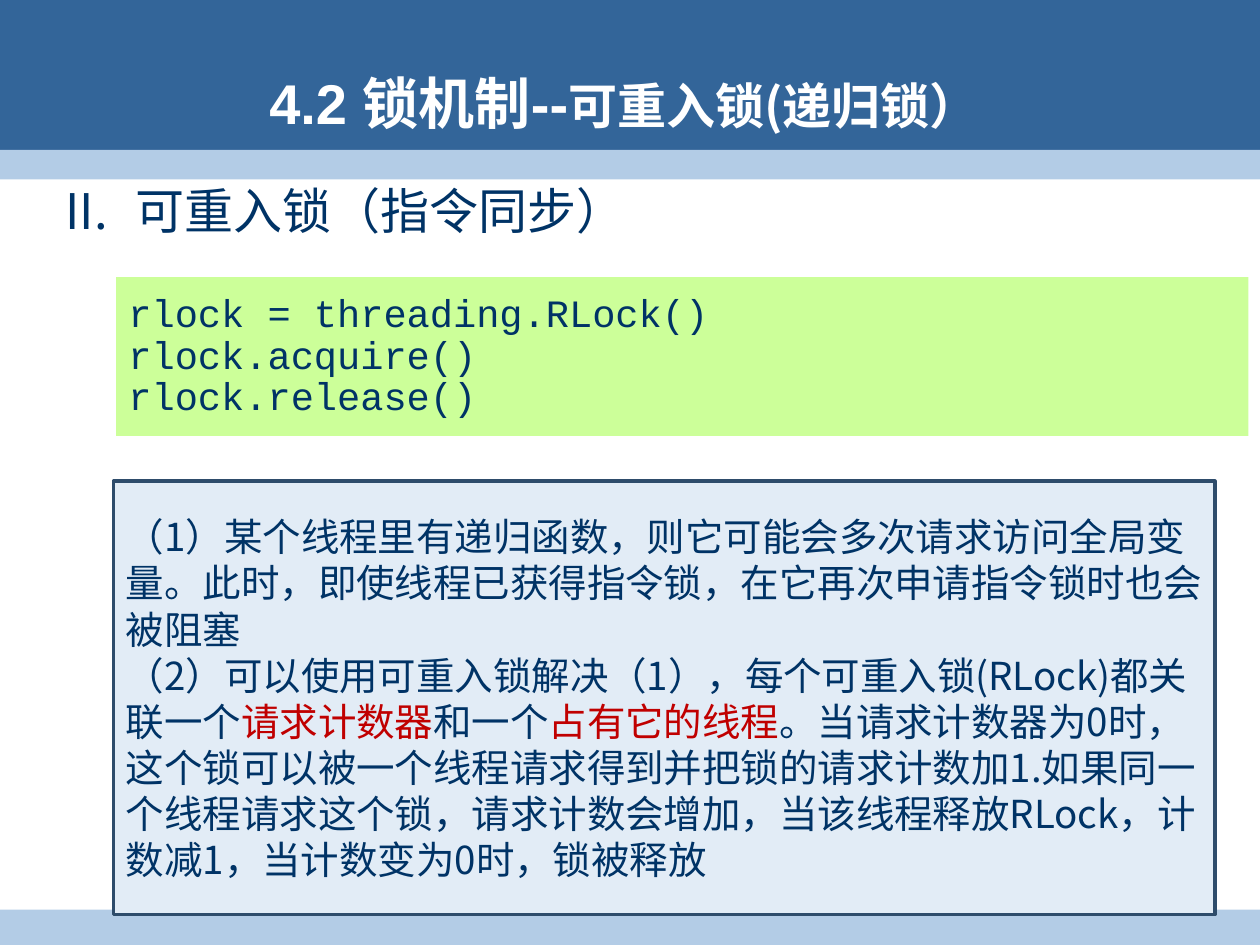
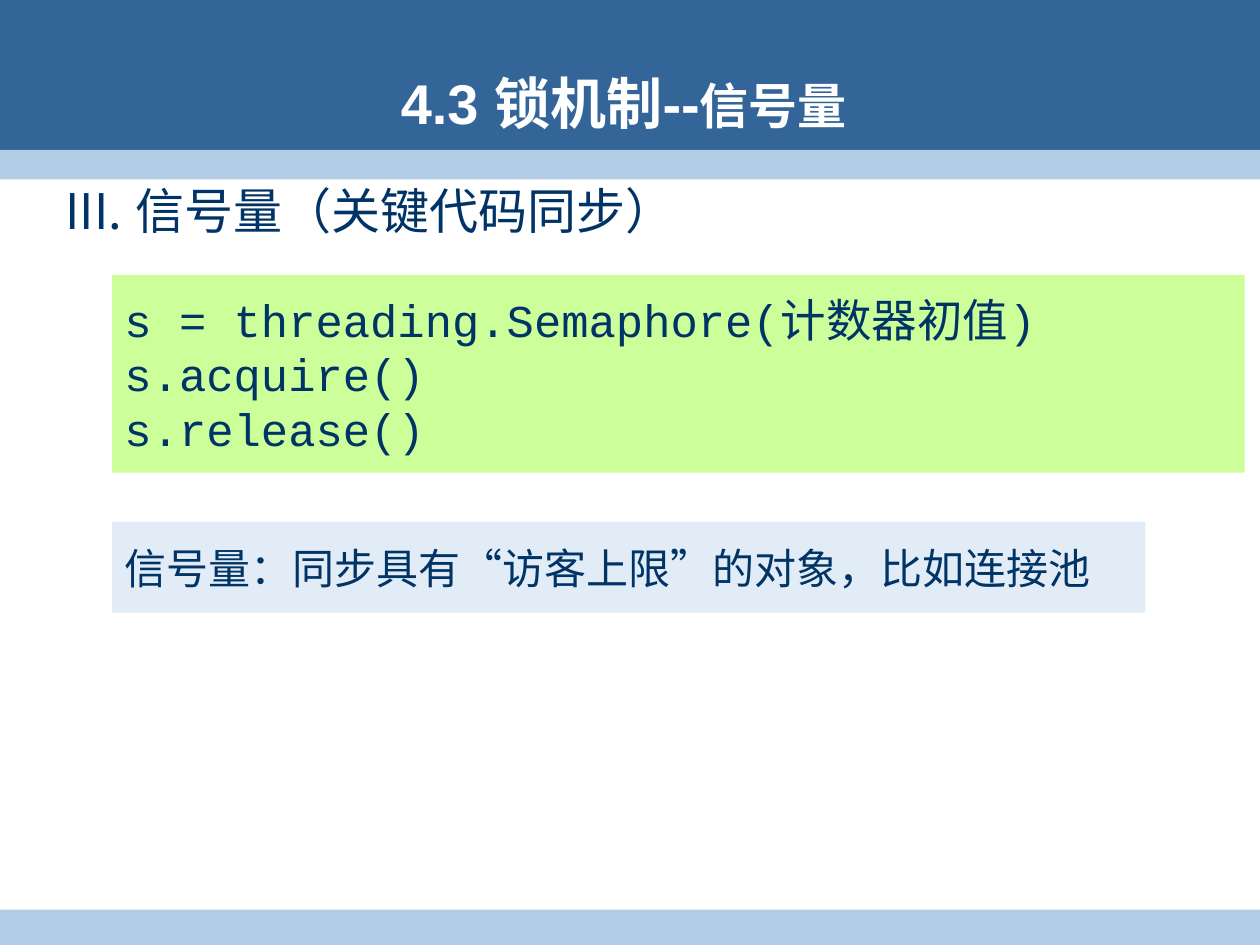
from dataclasses import dataclass

from lxml.etree import SubElement
from pptx import Presentation
from pptx.dml.color import RGBColor
from pptx.enum.shapes import MSO_SHAPE
from pptx.enum.text import MSO_ANCHOR as Anchor, PP_ALIGN as Align
from pptx.oxml.ns import qn
from pptx.util import Cm, Pt


@dataclass(frozen=True)
class Theme:
    white: str = "FFFFFF"
    header: str = "336599"
    band: str = "B3CCE6"
    code_fill: str = "CCFF99"
    note_fill: str = "E2ECF6"
    note_line: str = "2E4C6B"
    text: str = "003366"
    emphasis: str = "C00000"
    latin: str = "Arial"
    chinese: str = "Noto Sans CJK SC"
    mono: str = "Courier New"
    title_size: float = 32
    heading_size: float = 28


class Deck:
    def __init__(self, theme):
        self.theme = theme
        self.presentation = Presentation()
        self.presentation.slide_width = Cm(25.4)
        self.presentation.slide_height = Cm(19.05)
        self.slide = None

    def add_slide(self, number, topic, start, heading):
        theme = self.theme
        layout = self.presentation.slide_layouts[6]
        self.slide = self.presentation.slides.add_slide(layout)
        self.rectangle((0, 0, 25.4, 3.33), theme.header)
        self.rectangle((0, 3.02, 25.4, 0.6), theme.band)
        self.rectangle((0, 18.34, 25.4, 0.71), theme.band)
        self.heading(start, heading)
        self.title(number, topic)

    def rectangle(self, box, fill, line=None):
        shape = self.slide.shapes.add_shape(MSO_SHAPE.RECTANGLE, *map(Cm, box))
        shape.shadow.inherit = False
        shape.fill.solid()
        shape.fill.fore_color.rgb = RGBColor.from_string(fill)
        if line:
            shape.line.color.rgb = RGBColor.from_string(line)
            shape.line.width = Pt(2)
        else:
            shape.line.fill.background()
        return shape

    def text_box(self, box):
        text_frame = self.slide.shapes.add_textbox(*map(Cm, box)).text_frame
        text_frame.word_wrap = True
        text_frame.margin_top = text_frame.margin_bottom = 0
        return text_frame

    def format_run(self, run, size, font, color, bold=False):
        run.font.size = Pt(size)
        run.font.name = font
        run.font.bold = bold
        run.font.color.rgb = RGBColor.from_string(color)
        properties = run.font._element
        SubElement(properties, qn("a:ea"), typeface=self.theme.chinese)

    def title(self, number, topic):
        theme = self.theme
        text_frame = self.text_box((1.07, 1.32, 23.01, 1.47))
        text_frame.vertical_anchor = Anchor.MIDDLE
        paragraph = text_frame.paragraphs[0]
        paragraph.alignment = Align.CENTER
        for text, size, font in (
            (f"{number} 锁机制--", theme.title_size, theme.latin),
            (topic, theme.heading_size, theme.chinese),
        ):
            run = paragraph.add_run()
            run.text = text
            self.format_run(run, size, font, theme.white, True)

    def heading(self, start, text):
        theme = self.theme
        paragraph = self.text_box((1.07, 3.63, 24.08, 1.6)).paragraphs[0]
        paragraph.text = text
        properties = paragraph._p.get_or_add_pPr()
        properties.set("marL", str(Cm(1.42)))
        properties.set("indent", str(-Cm(1.42)))
        color = SubElement(properties, qn("a:buClr"))
        SubElement(color, qn("a:srgbClr"), val=theme.text)
        SubElement(properties, qn("a:buAutoNum"),
                   type="romanUcPeriod", startAt=str(start))
        self.format_run(paragraph.runs[0], theme.heading_size,
                        theme.chinese, theme.text)

    def panel(self, box, fill, line=None):
        text_frame = self.rectangle(box, fill, line).text_frame
        text_frame.word_wrap = True
        text_frame.vertical_anchor = Anchor.MIDDLE
        return text_frame

    def code(self, box, text, size, spacing=1.0):
        text_frame = self.panel(box, self.theme.code_fill)
        text_frame.text = text
        for paragraph in text_frame.paragraphs:
            paragraph.alignment = Align.LEFT
            paragraph.line_spacing = spacing
            for run in paragraph.runs:
                self.format_run(run, size, self.theme.mono, self.theme.text)

    def note(self, box, paragraphs, size, line=None):
        theme = self.theme
        text_frame = self.panel(box, theme.note_fill, line)
        for index, parts in enumerate(paragraphs):
            paragraph = text_frame.add_paragraph() if index else text_frame.paragraphs[0]
            paragraph.alignment = Align.LEFT
            for position, text in enumerate(parts):
                run = paragraph.add_run()
                run.text = text
                color = theme.emphasis if position % 2 else theme.text
                self.format_run(run, size, theme.chinese, color)


def add_reentrant_lock(deck):
    deck.add_slide("4.2", "可重入锁(递归锁）", 2, "可重入锁（指令同步）")
    deck.code(
        (2.34, 5.59, 22.83, 3.2),
        "rlock = threading.RLock()\nrlock.acquire()\nrlock.release()",
        22.1, 0.9,
    )
    deck.note(
        (2.29, 9.7, 22.2, 8.74),
        [
            ["（1）某个线程里有递归函数，则它可能会多次请求访问全局变量。"
             "此时，即使线程已获得指令锁，在它再次申请指令锁时也会被阻塞"],
            ["（2）可以使用可重入锁解决（1），每个可重入锁(RLock)都关联一个",
             "请求计数器",
             "和一个",
             "占有它的线程",
             "。当请求计数器为0时，这个锁可以被一个线程请求得到并把锁的请求计数加1."
             "如果同一个线程请求这个锁，请求计数会增加，当该线程释放RLock，"
             "计数减1，当计数变为0时，锁被释放"],
        ],
        22, deck.theme.note_line,
    )


def add_semaphore(deck):
    deck.add_slide("4.3", "信号量", 3, "信号量（关键代码同步）")
    deck.code(
        (2.26, 5.54, 22.83, 3.99),
        "s = threading.Semaphore(计数器初值)\ns.acquire()\ns.release()",
        26,
    )
    deck.note(
        (2.26, 10.52, 20.83, 1.83),
        [["信号量：同步具有“访客上限”的对象，比如连接池"]],
        24,
    )


def main():
    deck = Deck(Theme())
    add_reentrant_lock(deck)
    add_semaphore(deck)
    deck.presentation.save("out.pptx")


if __name__ == "__main__":
    main()
